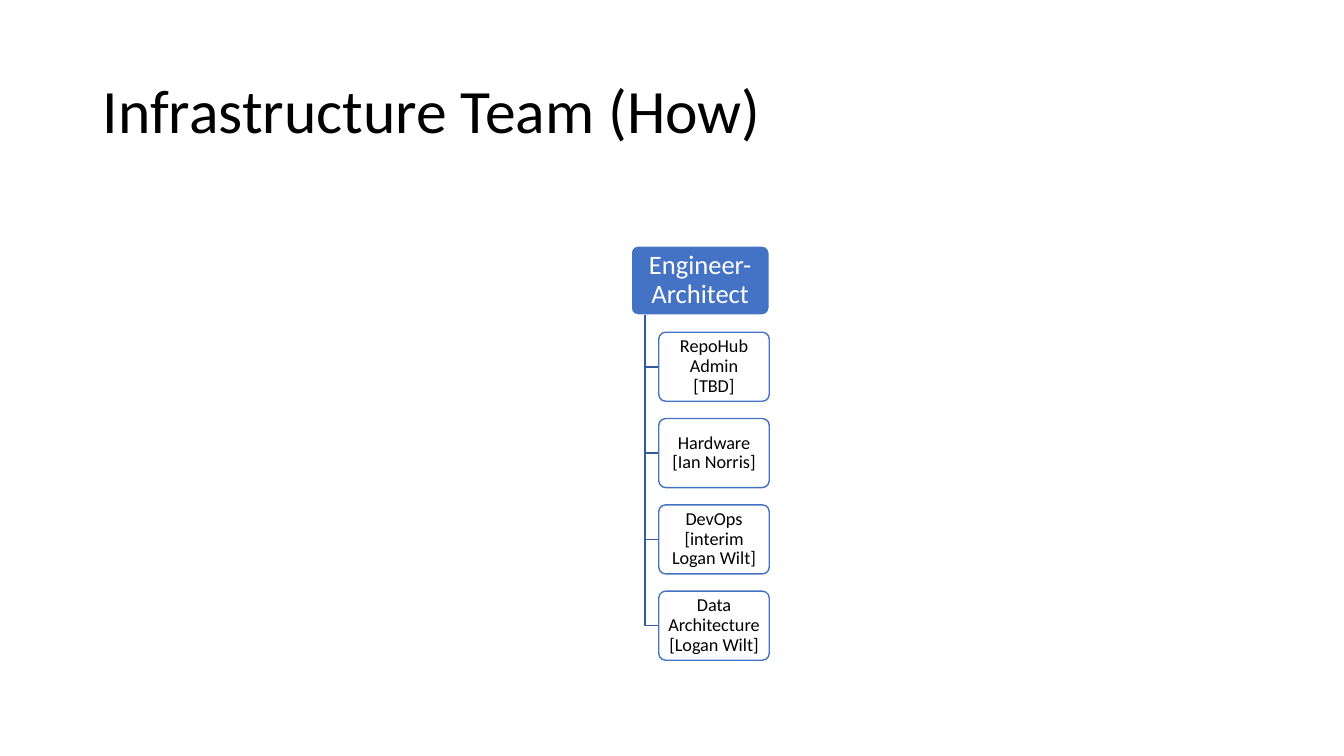
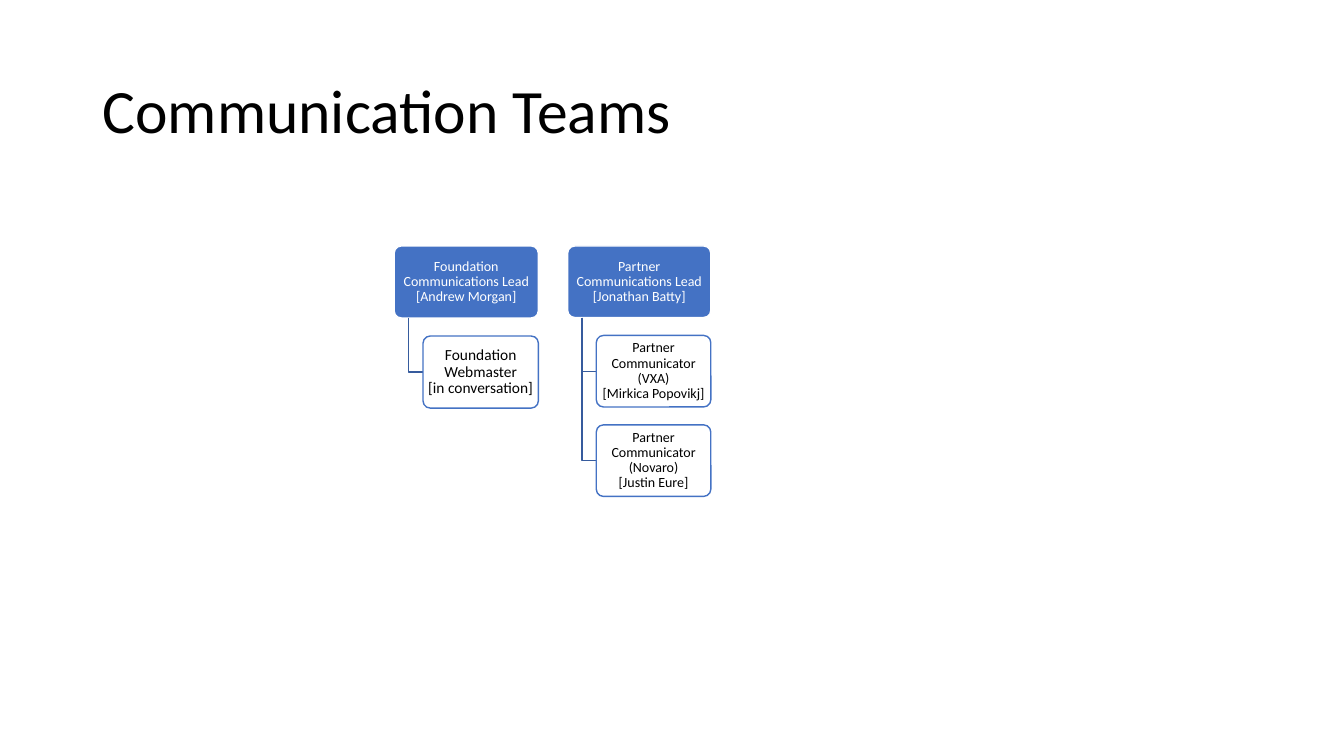
"""Build two slides of team hierarchies, each lead above an indented list of roles."""
from pptx import Presentation
from pptx.dml.color import RGBColor
from pptx.enum.shapes import MSO_SHAPE
from pptx.enum.text import MSO_ANCHOR, PP_ALIGN
from pptx.util import Inches, Pt

FONT = "Calibri"
BLUE, DARK_BLUE, WHITE, BLACK = "4472C4", "365B9D", "FFFFFF", "000000"
TREE_TOP = 2.44
TITLE = {"left": 0.92, "top": 0.4, "width": 11.5, "height": 1.45}

LEAD_STYLE = {"fill": BLUE, "line": WHITE, "text": WHITE}
ROLE_STYLE = {"fill": WHITE, "line": BLUE, "text": BLACK}

SLIDES = [
    {
        "title": "Infrastructure Team (How)",
        "trees": [
            {
                "left": 6.26, "width": 1.37,
                "lead": ["Engineer-Architect"], "lead_size": 19, "lead_margin": 0.04,
                "role_size": 13, "role_margin": 0.03,
                "roles": [
                    ["RepoHub Admin", "[TBD]"],
                    ["Hardware", "[Ian Norris]"],
                    ["DevOps", "[interim Logan Wilt]"],
                    ["Data Architecture", "[Logan Wilt]"],
                ],
            },
        ],
    },
    {
        "title": "Communication Teams",
        "trees": [
            {
                "left": 5.63, "width": 1.42,
                "lead": ["Partner Communications Lead", "[Jonathan Batty]"],
                "lead_size": 10, "lead_margin": 0.02,
                "role_size": 10, "role_margin": 0.02,
                "roles": [
                    ["Partner Communicator (VXA)", "[Mirkica Popovikj]"],
                    ["Partner Communicator (Novaro)", "[Justin Eure]"],
                ],
            },
            {
                "left": 3.91, "width": 1.43,
                "lead": ["Foundation Communications Lead", "[Andrew Morgan]"],
                "lead_size": 10, "lead_margin": 0.02,
                "role_size": 11, "role_margin": 0.02,
                "roles": [["Foundation Webmaster", "[in conversation]"]],
            },
        ],
    },
]


def color(value):
    return RGBColor.from_string(value)


def set_attributes(target, values):
    for name, value in values.items():
        setattr(target, name, value)


def write_text(shape, lines, size, text_color, alignment, margins):
    frame = shape.text_frame
    set_attributes(frame, {"word_wrap": True, "vertical_anchor": MSO_ANCHOR.MIDDLE, **margins})
    frame.text = "\n".join(lines)
    for paragraph in frame.paragraphs:
        set_attributes(paragraph, {"alignment": alignment, "line_spacing": 0.9})
        for run in paragraph.runs:
            set_attributes(run.font, {"name": FONT, "size": Pt(size)})
            run.font.color.rgb = color(text_color)


def set_line(shape, line_color):
    shape.shadow.inherit = False
    shape.line.color.rgb = color(line_color)
    shape.line.width = Pt(1)


def add_title(slide, title):
    box = slide.shapes.add_textbox(*(Inches(TITLE[side]) for side in ("left", "top", "width", "height")))
    write_text(box, [title], 44, BLACK, PP_ALIGN.LEFT, {})


def add_box(slide, left, top, width, height, lines, size, margin, style):
    box = slide.shapes.add_shape(
        MSO_SHAPE.ROUNDED_RECTANGLE, Inches(left), Inches(top), Inches(width), Inches(height))
    box.adjustments[0] = 0.1
    box.fill.solid()
    box.fill.fore_color.rgb = color(style["fill"])
    set_line(box, style["line"])
    margins = {
        "margin_left": Inches(margin), "margin_right": Inches(margin),
        "margin_top": Inches(0.02), "margin_bottom": Inches(0.02),
    }
    write_text(box, lines, size, style["text"], PP_ALIGN.CENTER, margins)


def add_elbow(slide, stem, top, right, bottom):
    builder = slide.shapes.build_freeform(Inches(stem), Inches(top))
    builder.add_line_segments(
        [(Inches(stem), Inches(bottom)), (Inches(right), Inches(bottom))], close=False)
    elbow = builder.convert_to_shape()
    elbow.fill.background()
    set_line(elbow, DARK_BLUE)


def add_tree(slide, tree):
    left, width = tree["left"], tree["width"]
    height = width / 2
    pitch = height * 1.25
    role_left = left + width * 0.2
    add_box(slide, left, TREE_TOP, width, height,
            tree["lead"], tree["lead_size"], tree["lead_margin"], LEAD_STYLE)
    for position, role in enumerate(tree["roles"], start=1):
        top = TREE_TOP + position * pitch
        add_elbow(slide, left + width * 0.1, TREE_TOP + height, role_left, top + height / 2)
        add_box(slide, role_left, top, width * 0.8, height,
                role, tree["role_size"], tree["role_margin"], ROLE_STYLE)


def main():
    presentation = Presentation()
    set_attributes(presentation, {"slide_width": Inches(13.33), "slide_height": Inches(7.5)})
    for content in SLIDES:
        slide = presentation.slides.add_slide(presentation.slide_layouts[6])
        add_title(slide, content["title"])
        for tree in content["trees"]:
            add_tree(slide, tree)
    presentation.save("out.pptx")


if __name__ == "__main__":
    main()
